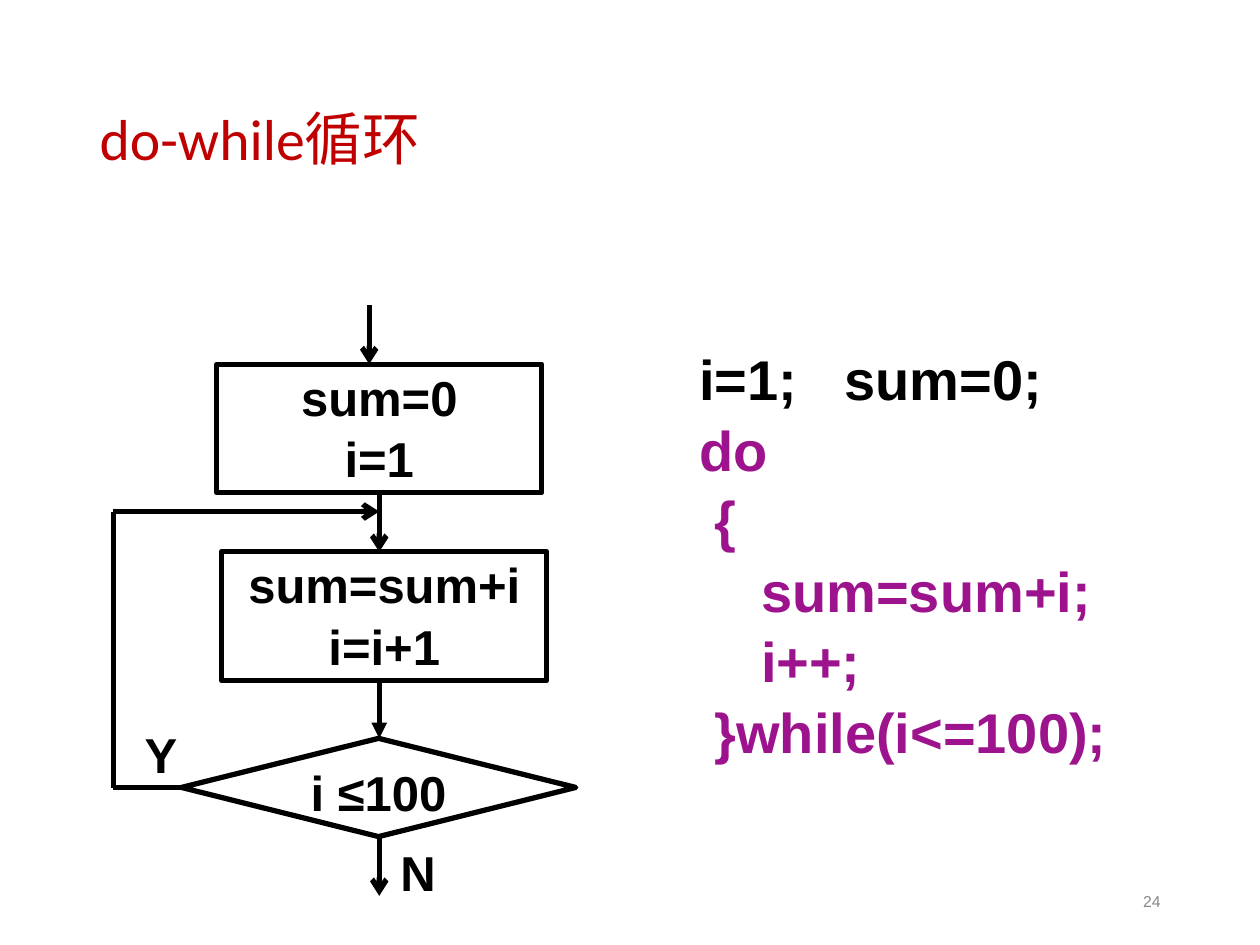
import pptx
import pptx.dml.color
import pptx.enum.shapes
import pptx.enum.text
import pptx.oxml
import pptx.oxml.ns
import pptx.util

PX = 9144
COLORS = {"ink": "000000", "keyword": "9D138D", "title": "C00000", "page": "898989"}
SHAPES = pptx.enum.shapes.MSO_SHAPE
ALIGN = pptx.enum.text.PP_ALIGN
ANCHOR = pptx.enum.text.MSO_ANCHOR


def px(length):
    """Turn px, 100 to the inch, into EMU."""
    return pptx.util.Emu(length * PX)


def rgb(name):
    """Look up a named colour."""
    return pptx.dml.color.RGBColor.from_string(COLORS[name])


def child(parent, tag, **attributes):
    """Append a DrawingML element to its parent."""
    element = pptx.oxml.parse_xml(f"<a:{tag} {pptx.oxml.ns.nsdecls('a')}/>")
    for key, value in attributes.items():
        element.set(key, str(value))
    parent.append(element)
    return element


def write(frame, lines, size=28, font="Arial", color="ink", bold=True, align=ALIGN.LEFT,
          anchor=ANCHOR.TOP, spacing=None, insets=(10, 5, 10, 5), wrap=True):
    """Fill a text frame with one paragraph per line and return the paragraphs."""
    frame.word_wrap = wrap
    frame.vertical_anchor = anchor
    frame.margin_left, frame.margin_top, frame.margin_right, frame.margin_bottom = map(px, insets)
    frame.text = "\n".join(lines)
    for paragraph in frame.paragraphs:
        paragraph.alignment = align
        paragraph.line_spacing = spacing
        for run in paragraph.runs:
            run.font.size = pptx.util.Pt(size)
            run.font.name = font
            run.font.bold = bold
            run.font.color.rgb = rgb(color)
    return frame.paragraphs


def add_text(slide, box, lines, **style):
    """Add a text box and return its paragraphs."""
    return write(slide.shapes.add_textbox(*map(px, box)).text_frame, lines, **style)


def add_step(slide, kind, box, lines):
    """Add an outlined flowchart step."""
    step = slide.shapes.add_shape(kind, *map(px, box))
    step.shadow.inherit = False
    step.fill.background()
    step.line.color.rgb = rgb("ink")
    step.line.width = pptx.util.Pt(3)
    write(step.text_frame, lines, align=ALIGN.CENTER, insets=(0, 0, 0, 0), wrap=False,
          spacing=1.05 if len(lines) > 1 else None)


def add_flow(slide, start, end, head=None):
    """Add a flow line, with an arrowhead at its end if one is named."""
    flow = slide.shapes.add_connector(
        pptx.enum.shapes.MSO_CONNECTOR.STRAIGHT, *map(px, (*start, *end)))
    flow.line.color.rgb = rgb("ink")
    flow.line.width = pptx.util.Pt(3)
    if head:
        child(flow.line._get_or_add_ln(), "tailEnd", type=head)
    child(flow._element.spPr, "effectLst")


def add_title(slide, box):
    """Place and format the title."""
    title = slide.shapes.title
    title.left, title.top, title.width, title.height = map(px, box)
    write(title.text_frame, ["do-while循环"], size=33, font="Calibri", color="title",
          bold=False, anchor=ANCHOR.MIDDLE, spacing=0.9)


def add_flowchart(slide, box):
    """Draw the loop flowchart inside its box."""
    left, top, width, height = box
    axis, loop_y, test_y = left + 211, top + 164, top + 383
    test_left = left + 54
    add_step(slide, SHAPES.FLOWCHART_PROCESS, (left + 82, top + 47, 258, 102), ["sum=0", "i=1"])
    add_step(slide, SHAPES.FLOWCHART_PROCESS, (left + 86, top + 196, 258, 102),
             ["sum=sum+i", "i=i+1"])
    add_step(slide, SHAPES.FLOWCHART_DECISION, (test_left, top + 344, 313, 78), ["i ≤100"])
    for x, start, end, head in ((axis - 8, 0, 47, "arrow"), (axis, 149, 196, "arrow"),
                                (axis, 298, 344, "triangle"), (axis, 422, height, "arrow")):
        add_flow(slide, (x, top + start), (x, top + end), head)
    add_flow(slide, (test_left, test_y), (left, test_y))
    add_flow(slide, (left, test_y), (left, loop_y))
    add_flow(slide, (left, loop_y), (axis, loop_y), "arrow")
    add_text(slide, (left + 15, top + 328, 55, 57), ["Y"])
    add_text(slide, (left + 218, top + 422, 55, 57), ["N"])


def add_code(slide, box):
    """Write the loop code with indented lines."""
    code = (("i=1;\tsum=0;", 0), ("do", 0), ("{", 12), ("sum=sum+i;", 49),
            ("i++;", 49), ("}while(i<=100);", 12))
    paragraphs = add_text(slide, box, [line for line, indent in code], size=32,
                          color="keyword", spacing=1.05, insets=(47, 5, 10, 5))
    for paragraph, (line, indent) in zip(paragraphs, code):
        paragraph._p.get_or_add_pPr().set("marL", str(px(indent)))
    setup = paragraphs[0]
    for run in setup.runs:
        run.font.color.rgb = rgb("ink")
    child(child(setup._p.get_or_add_pPr(), "tabLst"), "tab", pos=px(115), algn="l")


def main():
    """Build and save the slide."""
    deck = pptx.Presentation()
    deck.slide_width, deck.slide_height = px(1000), px(750)
    slide = deck.slides.add_slide(deck.slide_layouts[5])
    add_title(slide, (69, 40, 887, 145))
    add_flowchart(slide, (90, 242, 367, 469))
    add_code(slide, (508, 266, 438, 367))
    add_text(slide, (706, 695, 225, 40), ["24"], size=9, color="page", bold=False,
             align=ALIGN.RIGHT, anchor=ANCHOR.MIDDLE)
    deck.save("out.pptx")


if __name__ == "__main__":
    main()
